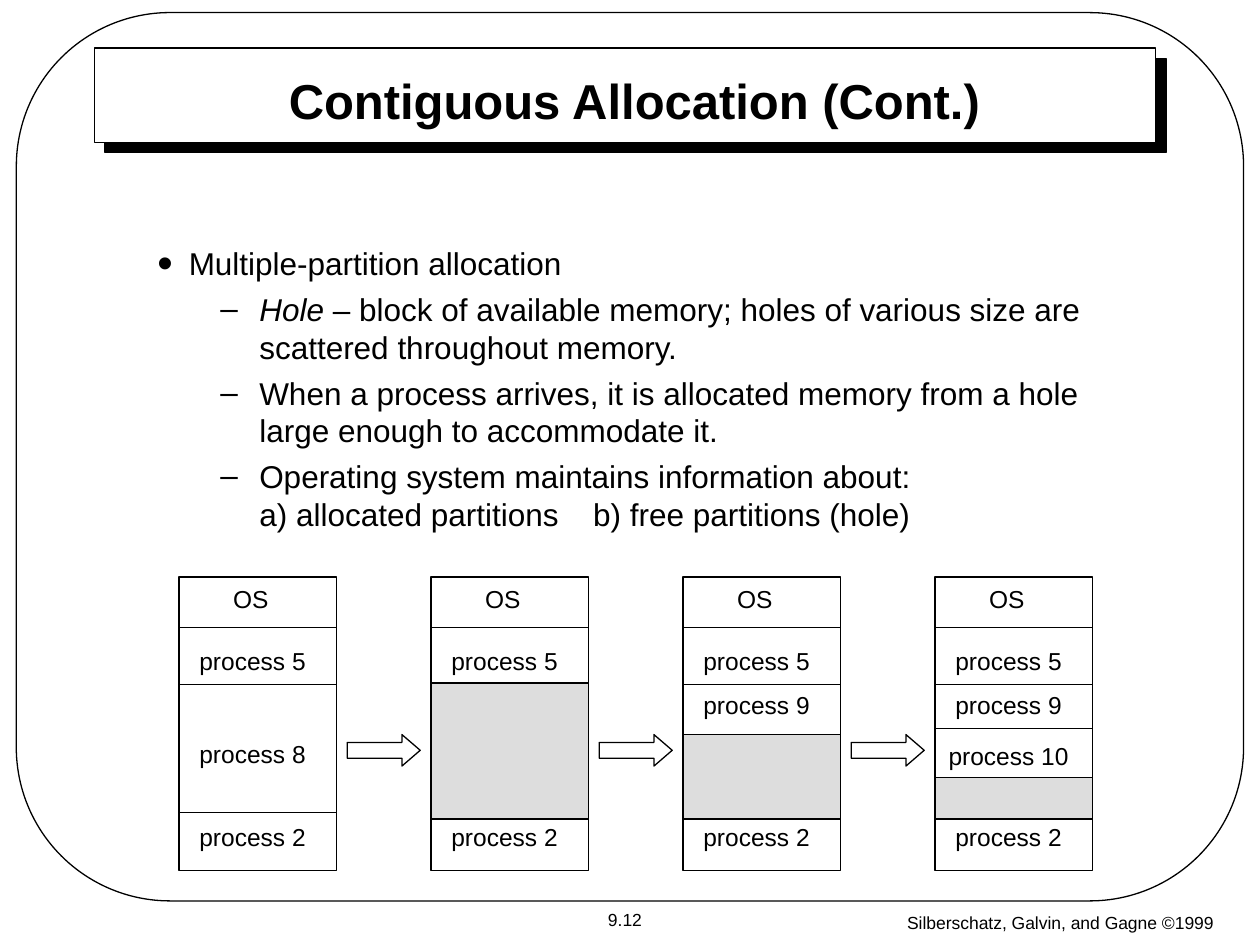
from lxml.etree import SubElement
from pptx import Presentation
from pptx.dml.color import RGBColor
from pptx.enum.shapes import MSO_CONNECTOR, MSO_SHAPE
from pptx.enum.text import MSO_ANCHOR, PP_ALIGN
from pptx.oxml import parse_xml
from pptx.oxml.ns import nsdecls, qn
from pptx.util import Inches, Pt

THEME = {
    "font": "Arial",
    "ink": RGBColor(0, 0, 0),
    "paper": RGBColor(255, 255, 255),
    "hole": RGBColor(0xDD, 0xDD, 0xDD),
    "title": Pt(28),
    "body": Pt(18),
    "label": Pt(14),
    "small": Pt(10),
    "line": Pt(0.75),
}

TITLE = "Contiguous Allocation (Cont.)"
PAGE_NUMBER = "9.12"
CREDIT = "Silberschatz, Galvin, and Gagne ©1999"

# Each paragraph: level, then (text, italic) spans; "\n" is a line break.
BODY = [
    (0, [("Multiple-partition allocation", False)]),
    (1, [("Hole", True),
         (" – block of available memory; holes of various size are "
          "scattered throughout memory.", False)]),
    (1, [("When a process arrives, it is allocated memory from a hole "
          "large enough to accommodate it.", False)]),
    (1, [("Operating system maintains information about:\n"
          "a) allocated partitions\tb) free partitions (hole)", False)]),
]
LEVELS = [
    {"margin": 0.25, "hanging": 0.25, "before": 0, "bullet": "•", "percent": 140},
    {"margin": 0.81, "hanging": 0.31, "before": 4.5, "bullet": "–", "percent": 100},
]
PARTITION_TAB = 3.46

# Each memory map: (label, label top), hole (top, height), extra divider tops.
COMMON_LABELS = [("process 5", 5.07), ("process 2", 6.47)]
COMMON_DIVIDERS = [4.98, 5.43, 6.45]
MEMORY_MAPS = [
    {"labels": [("process 8", 5.81)], "hole": None, "dividers": []},
    {"labels": [], "hole": (5.42, 1.08), "dividers": []},
    {"labels": [("process 9", 5.42)], "hole": (5.83, 0.67), "dividers": []},
    {"labels": [("process 9", 5.42), ("process 10", 5.83)],
     "hole": (6.17, 0.33), "dividers": [5.78]},
]
MAP_LEFT, MAP_TOP, MAP_PITCH = 1.42, 4.58, 2
MAP_WIDTH, MAP_HEIGHT = 1.25, 2.33
LABEL_WIDTH, LABEL_HEIGHT = 1.17, 0.34
ARROW_WIDTH, ARROW_HEIGHT, ARROW_TOP = 0.58, 0.25, 5.83


def apply(target, values):
    for name, value in values.items():
        setattr(target, name, value)


def add_span(para, text, size, **extra):
    span = para.add_run()
    span.text = text
    apply(span.font, {"name": THEME["font"], "size": size, **extra})
    span.font.color.rgb = THEME["ink"]


def add_shape(page, kind, left, top, width, height, fill=None):
    shape = page.shapes.add_shape(
        kind, Inches(left), Inches(top), Inches(width), Inches(height))
    shape.shadow.inherit = False
    if fill is None:
        shape.fill.background()
    else:
        shape.fill.solid()
        shape.fill.fore_color.rgb = fill
    shape.line.color.rgb = THEME["ink"]
    shape.line.width = THEME["line"]
    return shape


def add_label(page, text, left, top, width, height, size, wrap=True):
    box = page.shapes.add_textbox(
        Inches(left), Inches(top), Inches(width), Inches(height))
    apply(box.text_frame, {"word_wrap": wrap, "vertical_anchor": MSO_ANCHOR.MIDDLE})
    para = box.text_frame.paragraphs[0]
    para.alignment = PP_ALIGN.CENTER
    add_span(para, text, size)


def add_divider(page, left, top):
    line = page.shapes.add_connector(
        MSO_CONNECTOR.STRAIGHT, Inches(left), Inches(top),
        Inches(left + MAP_WIDTH), Inches(top))
    line.line.color.rgb = THEME["ink"]
    line.line.width = THEME["line"]
    SubElement(line._element.spPr, qn("a:effectLst"))


def add_frame(page):
    banner = add_shape(page, MSO_SHAPE.RECTANGLE, 0.75, 0.38, 8.42, 0.75, THEME["paper"])
    effects = banner._element.spPr.find(qn("a:effectLst"))
    effects.append(parse_xml(
        f'<a:outerShdw {nsdecls("a")} blurRad="0" dist="{Pt(8.5)}" dir="2700000" '
        f'algn="ctr" rotWithShape="0"><a:srgbClr val="{THEME["ink"]}"/></a:outerShdw>'))
    add_label(page, CREDIT, 6.83, 7.15, 3.17, 0.35, THEME["small"])
    border = add_shape(page, MSO_SHAPE.ROUNDED_RECTANGLE, 0.13, 0.1, 9.74, 7.05)
    border.adjustments[0] = 0.173
    add_label(page, PAGE_NUMBER, 4.49, 7.16, 0.94, 0.27, THEME["small"], wrap=False)


def set_title(page):
    title = page.shapes.title
    apply(title, {"left": Inches(1.27), "top": Inches(0.54),
                  "width": Inches(7.53), "height": Inches(0.5)})
    apply(title.text_frame, {"word_wrap": True, "vertical_anchor": MSO_ANCHOR.MIDDLE})
    para = title.text_frame.paragraphs[0]
    para.alignment = PP_ALIGN.CENTER
    add_span(para, TITLE, THEME["title"], bold=True)
    # Bring the title in front of its banner.
    page.shapes._spTree.append(title._element)


def format_bullet(para, style):
    properties = para._p.get_or_add_pPr()
    properties.set("marL", str(Inches(style["margin"])))
    properties.set("indent", str(-Inches(style["hanging"])))
    color = SubElement(properties, qn("a:buClr"))
    SubElement(color, qn("a:srgbClr"), val=str(THEME["ink"]))
    SubElement(properties, qn("a:buSzPct"), val=str(style["percent"] * 1000))
    SubElement(properties, qn("a:buFont"), typeface=THEME["font"])
    SubElement(properties, qn("a:buChar"), char=style["bullet"])
    if "\t" in "".join(span.text for span in para.runs):
        tabs = SubElement(properties, qn("a:tabLst"))
        SubElement(tabs, qn("a:tab"), pos=str(Inches(PARTITION_TAB)), algn="l")
    para.space_before = Pt(style["before"])


def add_body(page):
    box = page.shapes.add_textbox(Inches(1.15), Inches(1.89), Inches(7.77), Inches(2.61))
    frame = box.text_frame
    frame.word_wrap = True
    for index, (level, spans) in enumerate(BODY):
        para = frame.add_paragraph() if index else frame.paragraphs[0]
        para.level = level
        for text, italic in spans:
            for number, part in enumerate(text.split("\n")):
                if number:
                    para.add_line_break()
                add_span(para, part, THEME["body"], italic=italic)
        format_bullet(para, LEVELS[level])


def add_memory_map(page, left, memory):
    add_shape(page, MSO_SHAPE.RECTANGLE, left, MAP_TOP, MAP_WIDTH, MAP_HEIGHT, THEME["paper"])
    for top in COMMON_DIVIDERS + memory["dividers"]:
        add_divider(page, left, top)
    if memory["hole"]:
        top, height = memory["hole"]
        add_shape(page, MSO_SHAPE.RECTANGLE, left, top, MAP_WIDTH, height, THEME["hole"])
    add_label(page, "OS", left + 0.33, MAP_TOP, 0.48, LABEL_HEIGHT, THEME["label"], wrap=False)
    for text, top in COMMON_LABELS + memory["labels"]:
        add_label(page, text, left, top, LABEL_WIDTH, LABEL_HEIGHT, THEME["label"])


def add_arrow(page, map_left):
    gap = MAP_PITCH - MAP_WIDTH
    left = map_left + MAP_WIDTH + (gap - ARROW_WIDTH) / 2
    arrow = add_shape(page, MSO_SHAPE.RIGHT_ARROW, left, ARROW_TOP,
                      ARROW_WIDTH, ARROW_HEIGHT, THEME["paper"])
    arrow.adjustments[1] = 0.58


def main():
    deck = Presentation()
    apply(deck, {"slide_width": Inches(10), "slide_height": Inches(7.5)})
    page = deck.slides.add_slide(deck.slide_layouts[5])
    add_frame(page)
    set_title(page)
    add_body(page)
    for index, memory in enumerate(MEMORY_MAPS):
        left = MAP_LEFT + index * MAP_PITCH
        add_memory_map(page, left, memory)
        if index < len(MEMORY_MAPS) - 1:
            add_arrow(page, left)
    deck.save("out.pptx")


if __name__ == "__main__":
    main()
